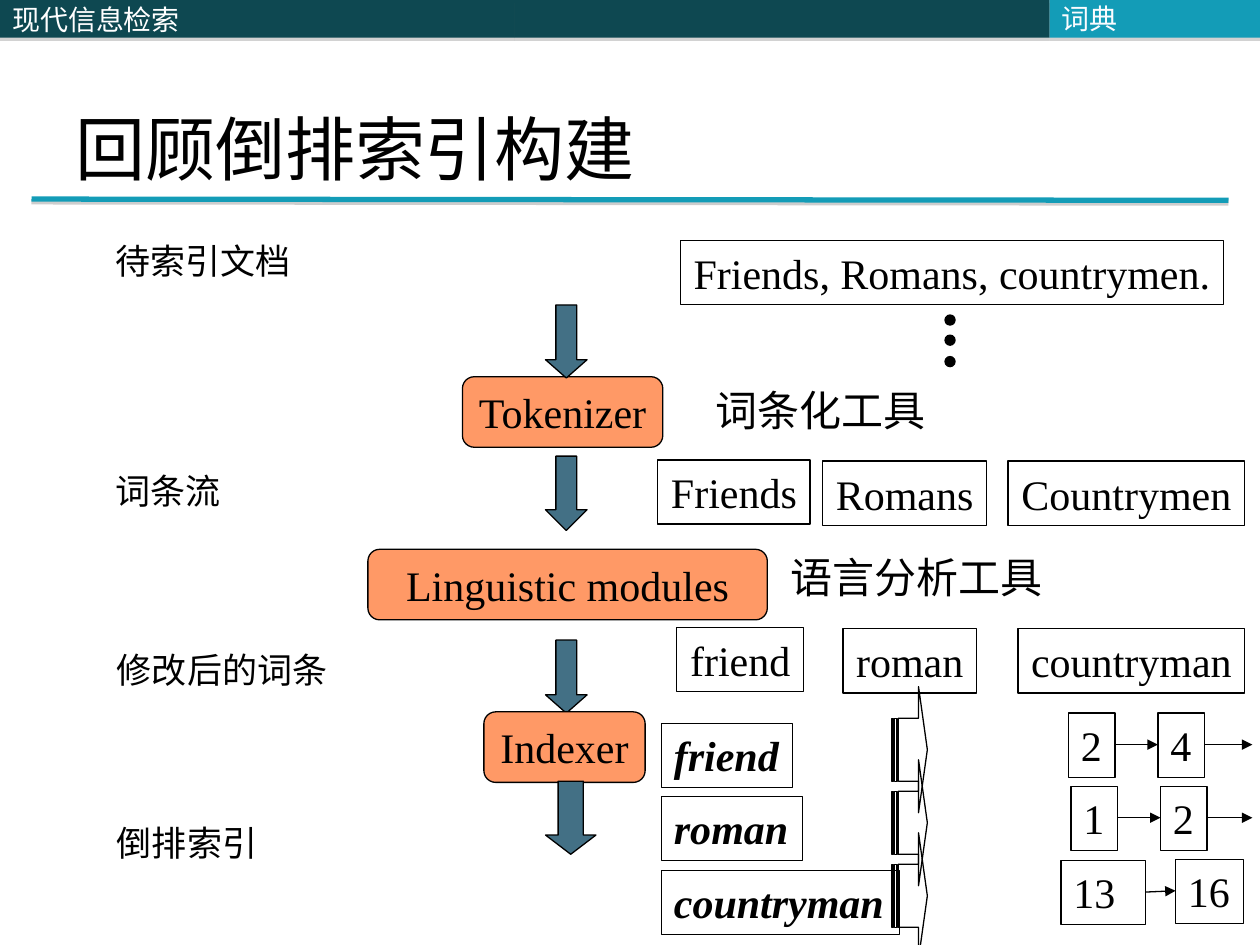
from dataclasses import dataclass

from lxml import etree
from pptx import Presentation
from pptx.dml.color import RGBColor
from pptx.enum.shapes import MSO_CONNECTOR, MSO_SHAPE
from pptx.enum.text import MSO_ANCHOR, MSO_AUTO_SIZE, PP_ALIGN
from pptx.oxml.ns import qn
from pptx.util import Pt

PX = 9144  # 100 px to the inch
RECT, OVAL = MSO_SHAPE.RECTANGLE, MSO_SHAPE.OVAL
MODULE, DOWN = MSO_SHAPE.FLOWCHART_ALTERNATE_PROCESS, MSO_SHAPE.DOWN_ARROW
STRAIGHT = MSO_CONNECTOR.STRAIGHT
TOP, MIDDLE, BOTTOM = MSO_ANCHOR.TOP, MSO_ANCHOR.MIDDLE, MSO_ANCHOR.BOTTOM
LEFT, CENTER = PP_ALIGN.LEFT, PP_ALIGN.CENTER
GROW, FIXED = MSO_AUTO_SIZE.SHAPE_TO_FIT_TEXT, MSO_AUTO_SIZE.NONE


@dataclass(frozen=True)
class Theme:
    black: str = "000000"
    white: str = "FFFFFF"
    pale: str = "FBFCFF"
    dark: str = "0E4851"
    teal: str = "139CB7"
    orange: str = "FF9966"
    steel: str = "437085"
    shadow: str = "808080"
    latin: str = "Times New Roman"
    cjk: str = "Noto Sans CJK SC"
    title: int = 40
    body: int = 24
    label: int = 20
    header: int = 16
    thin: float = 0.75
    rule: int = 3


THEME = Theme()


@dataclass(frozen=True)
class Box:
    left: int
    top: int
    width: int
    height: int

    def inner(self, left, top, width, height):
        return Box(self.left + left, self.top + top, width, height)

    def emu(self):
        return [v * PX for v in (self.left, self.top, self.width, self.height)]


def rgb(value):
    return RGBColor.from_string(value)


def write(shape, text, size=THEME.body, color=THEME.black, latin=THEME.latin,
          align=LEFT, anchor=TOP, wrap=False, fit=GROW, **style):
    frame = shape.text_frame
    settings = {"word_wrap": wrap, "auto_size": fit, "vertical_anchor": anchor}
    for name, value in settings.items():
        setattr(frame, name, value)
    para = frame.paragraphs[0]
    para.alignment = align
    span = para.add_run()
    span.text = text
    for name, value in {"size": Pt(size), "name": latin, **style}.items():
        setattr(span.font, name, value)
    span.font.color.rgb = rgb(color)
    etree.SubElement(span.font._element, qn("a:ea"), typeface=THEME.cjk)


def add_text(page, box, text, **style):
    write(page.shapes.add_textbox(*box.emu()), text, **style)


def paint(shape, fill=None, line=THEME.black):
    shape.shadow.inherit = False
    if fill:
        shape.fill.solid()
        shape.fill.fore_color.rgb = rgb(fill)
    else:
        shape.fill.background()
    if line:
        shape.line.color.rgb = rgb(line)
        shape.line.width = Pt(THEME.thin)
    else:
        shape.line.fill.background()
    return shape


def add_block(page, box, kind=RECT, fill=None, line=THEME.black):
    return paint(page.shapes.add_shape(kind, *box.emu()), fill, line)


def add_label_block(page, box, text, kind=RECT, fill=THEME.white, wrap=False):
    block = add_block(page, box, kind, fill)
    write(block, text, align=CENTER, anchor=MIDDLE, wrap=wrap)


def add_down_arrow(page, box, head):
    arrow = add_block(page, box, DOWN, THEME.steel)
    arrow.adjustments[1] = head


def add_line(page, start, end, color=THEME.black, width=THEME.thin):
    line = page.shapes.add_connector(STRAIGHT, *(v * PX for v in start + end))
    line.line.color.rgb = rgb(color)
    line.line.width = Pt(width)
    etree.SubElement(line._element.spPr, qn("a:effectLst"))
    return line


def add_shadow(shape, distance, alpha):
    effects = shape._element.spPr.find(qn("a:effectLst"))
    outer = etree.SubElement(effects, qn("a:outerShdw"), blurRad="0",
                             dist=str(Pt(distance)), dir="5400000", rotWithShape="0")
    color = etree.SubElement(outer, qn("a:srgbClr"), val=THEME.shadow)
    etree.SubElement(color, qn("a:alpha"), val=str(alpha * 1000))


def add_header(page, box):
    split, end = 408, 833
    bars = [(split, end - split, THEME.dark), (end, box.width - end, THEME.teal),
            (0, split, THEME.dark)]
    for left, width, fill in bars:
        bar = add_block(page, box.inner(left, 0, width, box.height), fill=fill, line=None)
        add_shadow(bar, 1.8, 35)
    write(bar, "现代信息检索", size=THEME.header, color=THEME.white,
          latin=THEME.cjk, anchor=MIDDLE, wrap=True, fit=FIXED)
    add_text(page, box.inner(end, -4, box.width - end, 37), "词典",
             size=THEME.header, color=THEME.pale, anchor=MIDDLE, wrap=True)


def add_title(page, box):
    rule = add_line(page, (box.left - 25, box.top + 128),
                    (box.left + box.width + 25, box.top + 129), THEME.teal, THEME.rule)
    add_shadow(rule, 1.6, 38)
    add_text(page, box, "回顾倒排索引构建", size=THEME.title, anchor=BOTTOM,
             wrap=True, fit=FIXED)


def add_source(page, box):
    add_down_arrow(page, box.inner(351, 57, 33, 58), 0.44)
    add_text(page, box.inner(0, 0, 160, 44), "待索引文档", size=THEME.label)
    add_label_block(page, box.inner(458, 6, 431, 51), "Friends, Romans, countrymen.")
    # Vertical ellipsis
    for row in range(3):
        add_block(page, box.inner(668, 65 + row * 50 // 3, 8, 8), OVAL, THEME.black)


def add_stage(page, box, module, arrow, head, label, tool=None, tokens=(), wrap=False):
    """Each part is a text with its place in the box; the arrow is a place alone."""
    text, place = module
    add_label_block(page, box.inner(*place), text, MODULE, THEME.orange, wrap)
    add_down_arrow(page, box.inner(*arrow), head)
    text, place = label
    add_text(page, box.inner(*place), text, size=THEME.label)
    if tool:
        text, place = tool
        add_text(page, box.inner(*place), text, align=CENTER, anchor=MIDDLE)
    for text, place in tokens:
        add_label_block(page, box.inner(*place), text)


def add_striped_arrow(page, box):
    """Arrow whose tail is cut into two thin stripes and a shaft."""
    high, low = box.height // 4, box.height * 3 // 4
    neck, tip = 21, box.width
    outlines = [
        [(neck, 0), (neck, high), (5, high), (5, low), (neck, low),
         (neck, box.height), (tip, box.height // 2)],
        [(2, high), (2, low), (4, low), (4, high)],
        [(0, high), (0, low), (1, low), (1, high)],
    ]
    placed = [[(box.left + x, box.top + y) for x, y in line] for line in outlines]
    builder = page.shapes.build_freeform(*placed[0][0], scale=PX)
    builder.add_line_segments(placed[0][1:], close=True)
    for outline in placed[1:]:
        builder.move_to(*outline[0])
        builder.add_line_segments(outline[1:], close=True)
    paint(builder.convert_to_shape())


def add_index(page, box):
    # Dictionary terms
    tops = (29, 87, 146)
    for text, width, top in zip(("friend", "roman", "countryman"), (104, 112, 189), tops):
        term = add_block(page, box.inner(0, top, width, 51))
        write(term, text, bold=True, italic=True)
    for row in range(3):
        add_striped_arrow(page, box.inner(183, row * 58, 28, 100))

    # Postings: text, left, top, width; then where the row's last link ends
    rows = [
        ([("2", 323, 21, 37), ("4", 394, 21, 37)], 469),
        ([("1", 325, 79, 37), ("2", 396, 79, 37)], 469),
        ([("13", 317, 138, 67), ("16", 408, 137, 54)], None),
    ]
    for postings, end in rows:
        for text, left, top, width in postings:
            posting = add_block(page, box.inner(left, top, width, 51))
            write(posting, text, wrap=width > 60)
        (_, left, top, width), (_, next_left, next_top, next_width) = postings
        links = [((left + width, top + 25), (next_left, next_top + 25))]
        if end:
            links.append(((next_left + next_width, top + 25), (end, top + 25)))
        for start, stop in links:
            link = add_line(page, *((box.left + x, box.top + y) for x, y in (start, stop)))
            etree.SubElement(link.line._get_or_add_ln(), qn("a:tailEnd"), type="triangle")


def main():
    deck = Presentation()
    deck.slide_width, deck.slide_height = 1000 * PX, 750 * PX
    page = deck.slides.add_slide(deck.slide_layouts[6])
    add_header(page, Box(0, 0, 1000, 30))
    add_title(page, Box(50, 30, 900, 125))
    add_stage(page, Box(82, 299, 906, 122), ("Tokenizer", (285, 0, 159, 56)),
              (351, 63, 33, 59), 0.5, ("词条流", (0, 69, 104, 44)),
              ("词条化工具", (476, 1, 187, 50)),
              [("Friends", (440, 66, 121, 51)), ("Romans", (571, 67, 130, 51)),
               ("Countrymen", (718, 67, 188, 51))])
    add_stage(page, Box(82, 433, 906, 133), ("Linguistic modules", (210, 3, 317, 56)),
              (351, 75, 33, 58), 0.44, ("修改后的词条", (1, 77, 189, 44)),
              ("语言分析工具", (534, 0, 222, 50)),
              [("friend", (455, 65, 101, 51)), ("roman", (587, 66, 106, 51)),
               ("countryman", (726, 66, 180, 51))], wrap=True)
    add_stage(page, Box(82, 565, 391, 126), ("Indexer", (302, 0, 128, 56)),
              (351, 55, 40, 58), 0.38, ("倒排索引", (1, 82, 132, 44)))
    add_index(page, Box(525, 545, 469, 217))
    add_source(page, Box(82, 185, 889, 115))
    deck.save("out.pptx")


if __name__ == "__main__":
    main()
